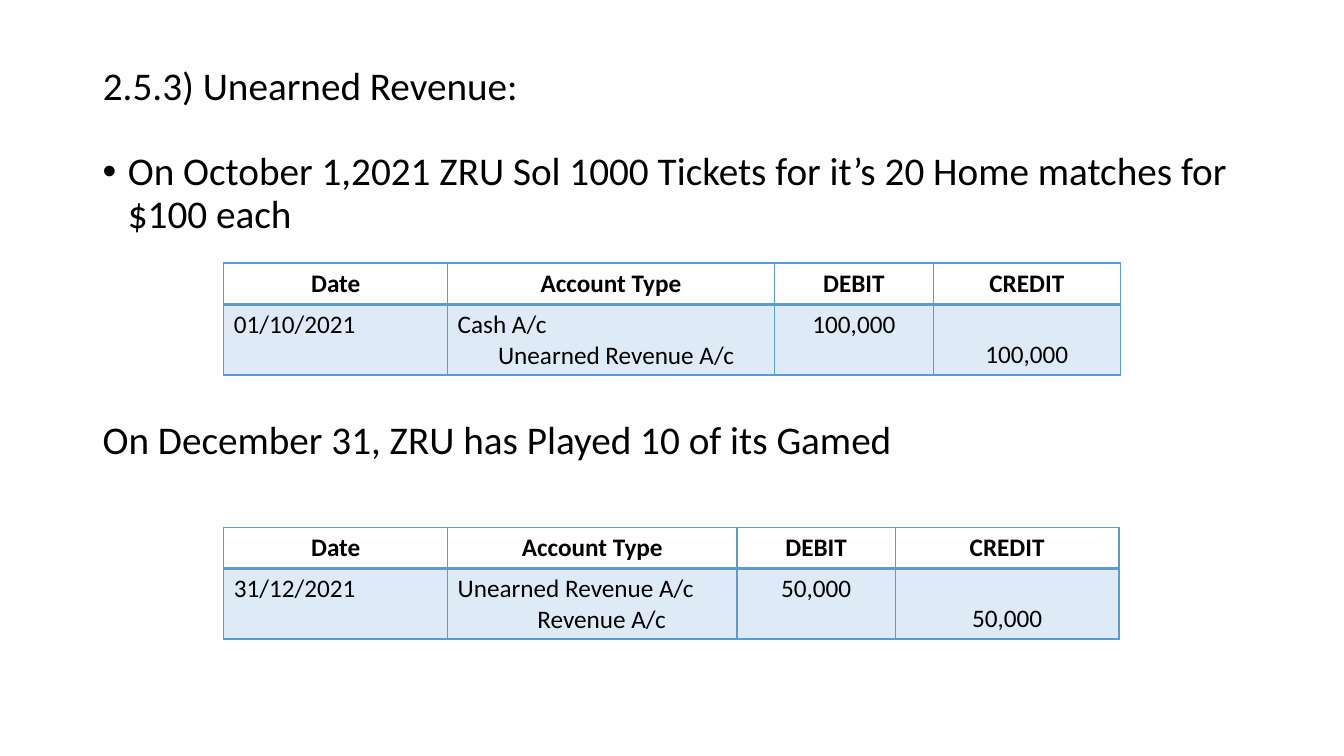
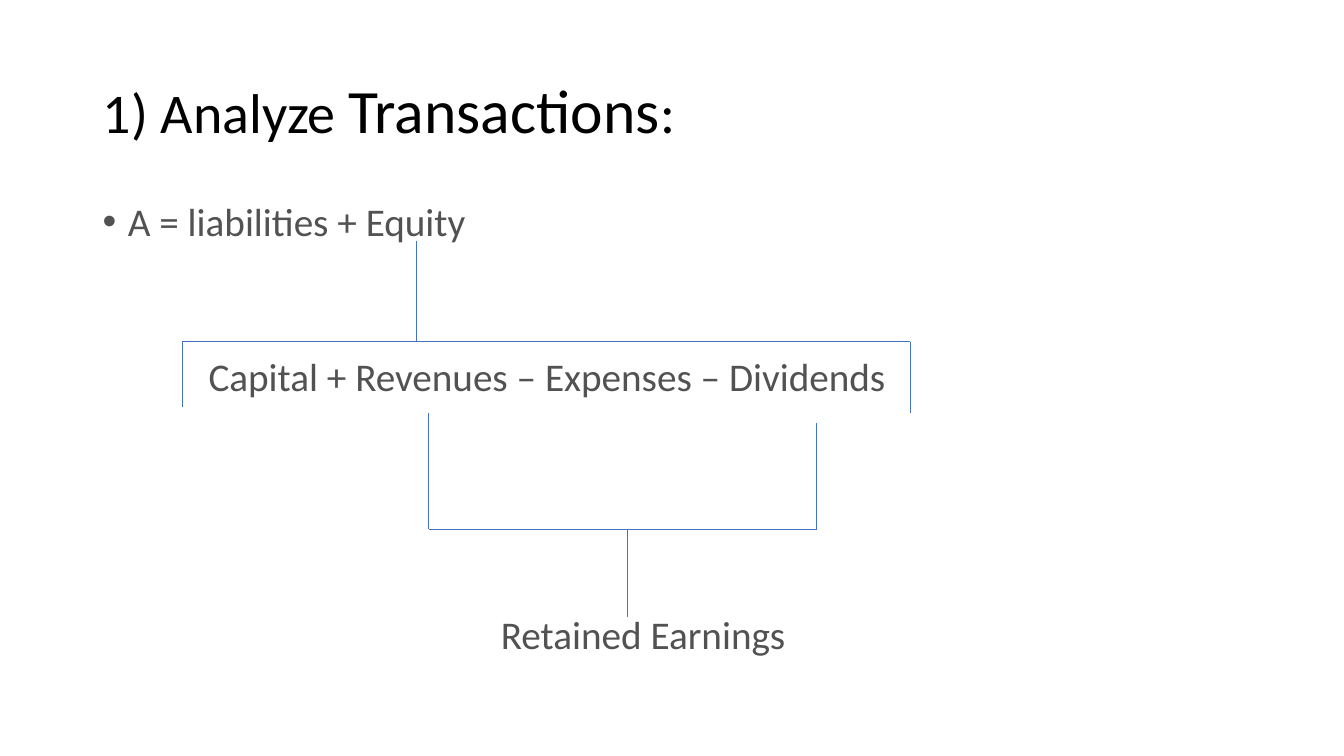
from dataclasses import dataclass

from lxml import etree
from pptx import Presentation
from pptx import util as u
from pptx.dml.color import RGBColor
from pptx.enum import shapes, text
from pptx.oxml.ns import qn


@dataclass(frozen=True)
class Theme:
    """Colours, fonts and type sizes shared by the slides."""
    font: str = "Calibri"
    bullet_font: str = "Arial"
    ink: RGBColor = RGBColor(0, 0, 0)
    grey: RGBColor = RGBColor(0x52, 0x52, 0x52)
    border: RGBColor = RGBColor(0x5B, 0x9B, 0xD5)
    entry_fill: RGBColor = RGBColor(0xDE, 0xEB, 0xF7)
    bracket: RGBColor = RGBColor(0x44, 0x72, 0xC4)
    title_large: int = 44
    title: int = 40
    body: int = 28
    table: int = 18


theme = Theme()
LEFT = 0.92
PLAIN_TABLE = "{2D5ABB26-0587-4C30-8999-92F81FD0307C}"
Inches = u.Inches
Align = text.PP_ALIGN

deck = Presentation()
deck.slide_width, deck.slide_height = Inches(13.33), Inches(7.5)


def style(paragraph, size, color, bold=False, align=Align.LEFT, indent=0):
    """Set the font, alignment and left indent of a paragraph."""
    font = paragraph.font
    font.name, font.size, font.bold = theme.font, u.Pt(size), bold
    font.color.rgb = color
    paragraph.alignment = align
    paragraph._p.get_or_add_pPr().set("marL", str(Inches(indent)))


def add_slide(title_top, title_size, title_runs, body_box, body_color, spacing, lines):
    """Add a titled slide whose body lines are (text, indent, space before); the first is bulleted."""
    slide = deck.slides.add_slide(deck.slide_layouts[5])
    title = slide.shapes.title
    title.left, title.top = Inches(LEFT), Inches(title_top)
    title.width, title.height = Inches(11.5), Inches(1.45)
    title.text_frame.vertical_anchor = text.MSO_ANCHOR.MIDDLE
    heading = title.text_frame.paragraphs[0]
    heading.line_spacing = 0.9
    style(heading, title_size, theme.ink)
    for words, size in title_runs:
        run = heading.add_run()
        run.text = words
        if size != title_size:
            run.font.size = u.Pt(size)

    frame = slide.shapes.add_textbox(*map(Inches, body_box)).text_frame
    frame.word_wrap = True
    for number, (words, indent, before) in enumerate(lines):
        line = frame.add_paragraph() if number else frame.paragraphs[0]
        line.text = words
        line.line_spacing, line.space_before = spacing, u.Pt(before)
        style(line, theme.body, body_color, indent=indent)
    bulleted = frame.paragraphs[0]._p.pPr
    bulleted.set("indent", str(-Inches(0.25)))
    run_defaults = bulleted.find(qn("a:defRPr"))
    run_defaults.addprevious(etree.Element(qn("a:buFont"), typeface=theme.bullet_font))
    run_defaults.addprevious(etree.Element(qn("a:buChar"), char="•"))
    return slide


# Unearned revenue: two journal entries
journal = add_slide(
    0.15, theme.body, [("2.5.3) Unearned Revenue:", theme.body)],
    (LEFT, 1.46, 11.9, 6), theme.ink, 0.9,
    [("On October 1,2021 ZRU Sol 1000 Tickets for it’s 20 Home matches for $100 each", 0.25, 0),
     ("On December 31, ZRU has Played 10 of its Gamed", 0, 131)])

headings = ["Date", "Account Type", "DEBIT", "CREDIT"]
entries = [
    (2.61, [2.22, 3.24, 1.58, 1.85], "01/10/2021", "Cash A/c", "Unearned Revenue A/c", 0.4, "100,000"),
    (5.23, [2.22, 2.87, 1.57, 2.22], "31/12/2021", "Unearned Revenue A/c", "Revenue A/c", 0.79, "50,000"),
]
for top, widths, date, debited, credited, credit_indent, amount in entries:
    table = journal.shapes.add_table(
        2, 4, Inches(2.22), Inches(top), Inches(sum(widths)), Inches(1.11)).table
    table._tbl.tblPr.find(qn("a:tableStyleId")).text = PLAIN_TABLE
    table.horz_banding = False
    table.rows[0].height, table.rows[1].height = Inches(0.41), Inches(0.7)
    for column, width in zip(table.columns, widths):
        column.width = Inches(width)

    entry = [date, f"{debited}\n{credited}", amount, amount]
    for r, row in enumerate([headings, entry]):
        for c, words in enumerate(row):
            cell = table.cell(r, c)
            cell.text = words
            centred = r == 0 or c >= 2
            for n, line in enumerate(cell.text_frame.paragraphs):
                style(line, theme.table, theme.ink, bold=r == 0,
                      align=Align.CENTER if centred else Align.LEFT,
                      indent=credit_indent if n else 0)
            if r == 0:
                cell.fill.background()
            else:
                cell.fill.solid()
                cell.fill.fore_color.rgb = theme.entry_fill
                if c == 3:
                    cell.vertical_anchor = text.MSO_ANCHOR.BOTTOM
            header_edge = "B" if r == 0 else "T"
            for position, side in enumerate("LRTB"):
                points = 2 if side == header_edge else 1
                edge = etree.Element(qn(f"a:ln{side}"), w=str(u.Pt(points)))
                paint = etree.SubElement(edge, qn("a:solidFill"))
                etree.SubElement(paint, qn("a:srgbClr"), val=str(theme.border))
                cell._tc.get_or_add_tcPr().insert(position, edge)

# Accounting equation: equity broken down to retained earnings
equation = add_slide(
    0.4, theme.title,
    [("1) Analyze ", theme.title), ("Transactions", theme.title_large), (":", theme.title)],
    (LEFT, 2, 11.5, 4.76), theme.grey, 0.8,
    [("A = liabilities + Equity", 0.25, 0),
     ("Capital + Revenues – Expenses – Dividends", 1.05, 84),
     ("Retained Earnings", 3.95, 157)])

equity_x, equity_left, equity_right, equity_y = 4.13, 1.81, 9.03, 3.39
earned_left, earned_right, earned_x, earned_y = 4.25, 8.1, 6.22, 5.25
brackets = [
    (equity_x, 2.39, equity_x, equity_y),
    (equity_x, equity_y, equity_right, equity_y),
    (earned_left, equity_y, equity_left, equity_y),
    (equity_right, equity_y, equity_right, 4.1),
    (equity_left, equity_y, equity_left, 4.04),
    (earned_left, 4.1, earned_left, earned_y),
    (earned_left, earned_y, earned_right, earned_y),
    (earned_right, earned_y, earned_right, 4.2),
    (earned_x, earned_y, earned_x, 6.12),
]
for ends in brackets:
    branch = equation.shapes.add_connector(shapes.MSO_CONNECTOR.STRAIGHT, *map(Inches, ends))
    branch.line.color.rgb = theme.bracket
    branch.line.width = u.Pt(0.5)
    etree.SubElement(branch._element.spPr, qn("a:effectLst"))

deck.save("out.pptx")
